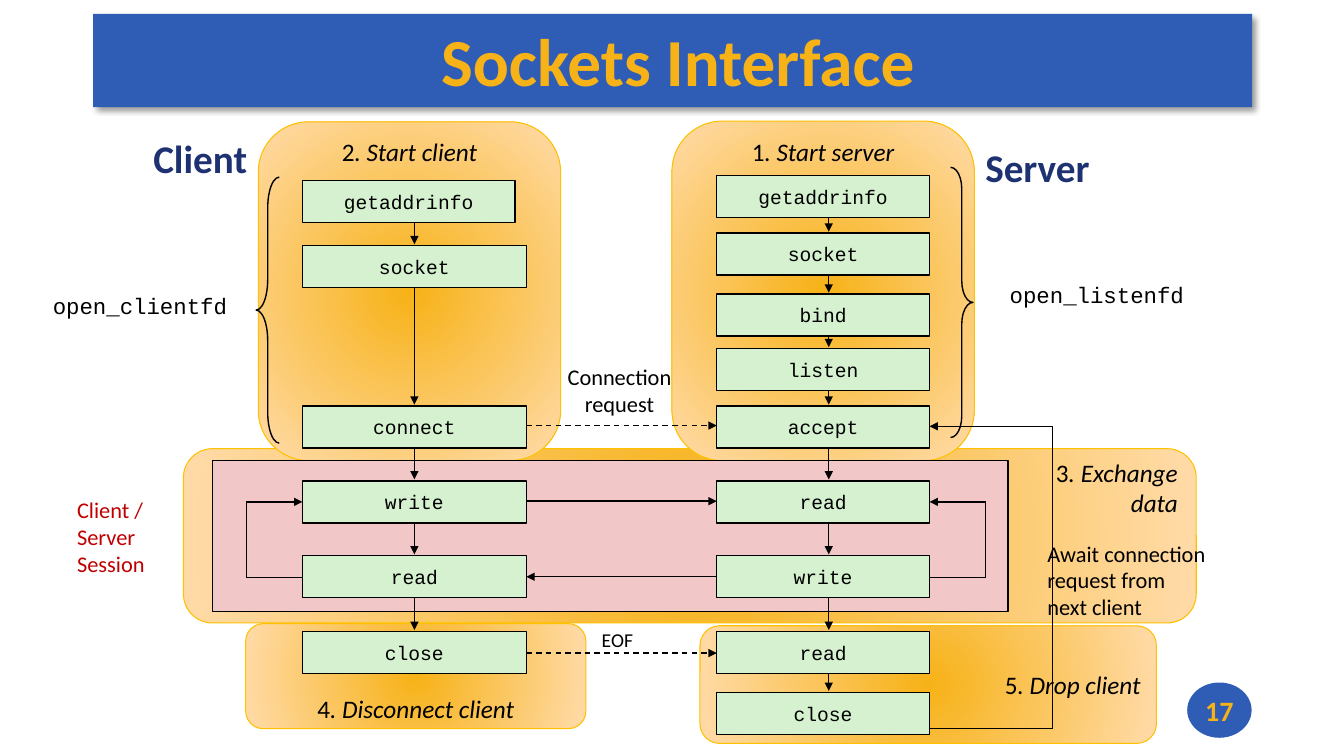
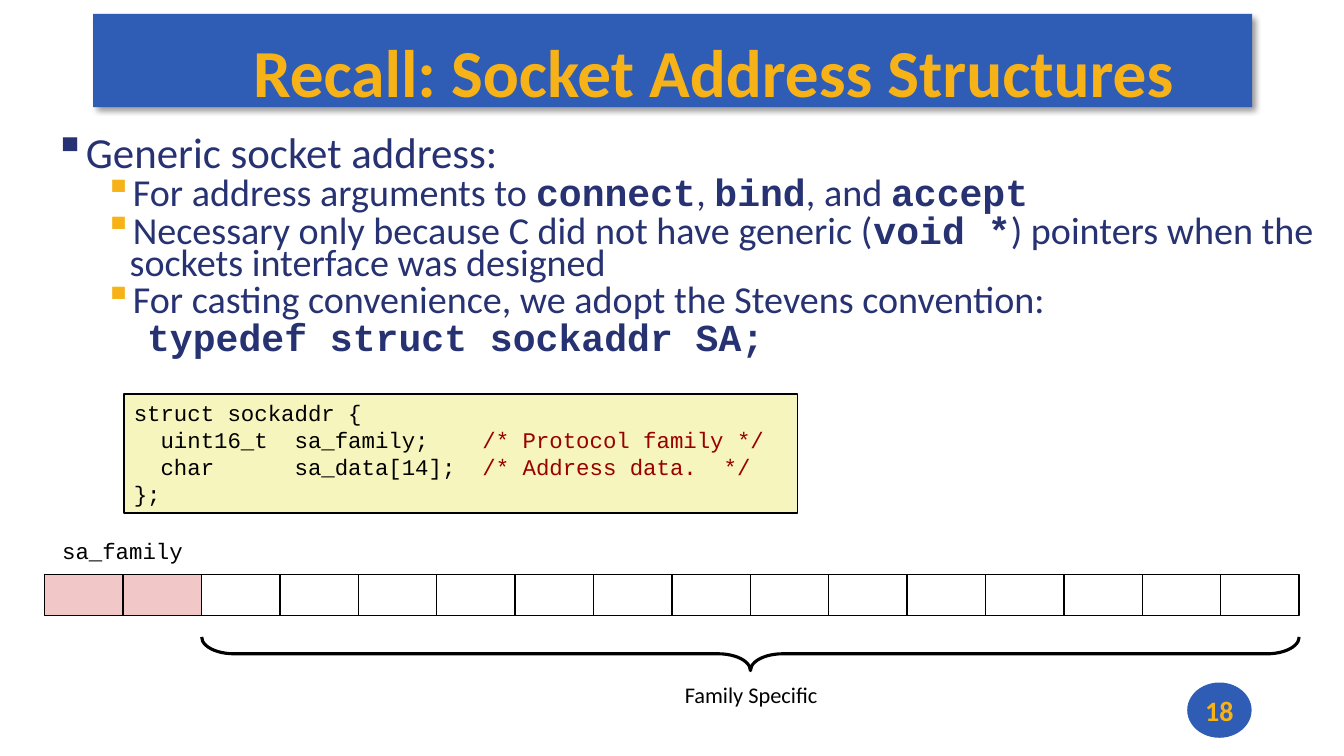
import dataclasses
import itertools
import typing

import lxml.etree
import pptx
import pptx.dml.color
import pptx.enum.dml
import pptx.enum.shapes
import pptx.enum.text
import pptx.oxml.ns
import pptx.util

Pt = pptx.util.Pt
qn = pptx.oxml.ns.qn
SHAPE = pptx.enum.shapes.MSO_SHAPE
ALIGN = pptx.enum.text.PP_ALIGN
ANCHOR = pptx.enum.text.MSO_ANCHOR
FIT = pptx.enum.text.MSO_AUTO_SIZE

COLORS = {
    "band": "2F5CB5", "gold": "F7B217", "peach": "FFDBA9", "amber": "FFC000",
    "green": "D5F1CF", "pink": "F1C7C7", "cream": "F6F5BD", "black": "000000",
    "navy": "1E3272", "body": "273272", "red": "C00000", "comment": "990000",
}
SANS, MONO = "Calibri", "Courier New"
Rect = tuple[float, float, float, float]
Point = tuple[float, float]


@dataclasses.dataclass(frozen=True)
class Span:
    """A run of text; None keeps the paragraph's setting."""
    text: str
    font: str | None = None
    bold: bool | None = None
    italic: bool | None = None
    color: str | None = None


@dataclasses.dataclass(frozen=True)
class Style:
    """The settings that all runs of a paragraph share."""
    size: float
    font: str = SANS
    color: str = "black"
    align: typing.Any = ALIGN.CENTER
    bold: bool = False


@dataclasses.dataclass(frozen=True)
class Region:
    """A numbered stage of the connection."""
    rect: Rect
    lines: list[list[Span]]
    align: typing.Any = ALIGN.CENTER
    anchor: typing.Any = ANCHOR.TOP


@dataclasses.dataclass(frozen=True)
class Label:
    """Free text beside the diagram."""
    rect: Rect
    lines: list[str]
    style: Style
    wrap: bool = False


@dataclasses.dataclass(frozen=True)
class Column:
    """One side's calls from top to bottom, as (name, top) pairs."""
    left: float
    width: float
    arrow_x: float
    calls: list[tuple[str, float]]


@dataclasses.dataclass(frozen=True)
class Bullet:
    """A body line with its indent; no bullet colour means no bullet."""
    spans: list[Span]
    size: float
    left: float
    before: float
    bullet: str | None = None


def rgb(name: str) -> pptx.dml.color.RGBColor:
    """Look a colour up by name."""
    return pptx.dml.color.RGBColor.from_string(COLORS[name])


def set_font(font, style: Style) -> None:
    """Apply a style to a font."""
    font.name, font.size, font.bold = style.font, Pt(style.size), style.bold
    font.color.rgb = rgb(style.color)


def add_spans(paragraph, spans: list[Span]) -> None:
    """Add runs, setting only what differs from the paragraph."""
    for span in spans:
        run = paragraph.add_run()
        run.text = span.text
        if span.font:
            run.font.name = span.font
        if span.bold:
            run.font.bold = True
        if span.italic:
            run.font.italic = True
        if span.color:
            run.font.color.rgb = rgb(span.color)


def next_paragraph(frame, index: int):
    """Return the first paragraph, or a new one after it."""
    return frame.add_paragraph() if index else frame.paragraphs[0]


def write(shape, lines: list[list[Span]], style: Style, anchor=ANCHOR.MIDDLE,
          wrap: bool = False, margins: Rect = (7.2, 3.6, 7.2, 3.6)) -> None:
    """Fill a shape with paragraphs of one style."""
    frame = shape.text_frame
    frame.word_wrap, frame.vertical_anchor = wrap, anchor
    frame.margin_left, frame.margin_top, frame.margin_right, frame.margin_bottom = map(Pt, margins)
    for index, spans in enumerate(lines):
        paragraph = next_paragraph(frame, index)
        paragraph.alignment = style.align
        set_font(paragraph.font, style)
        add_spans(paragraph, spans)


def add_shape(slide, kind, rect: Rect, fill: str | None = None,
              line: str | None = "black", width: float = 1):
    """Add a preset shape without a shadow."""
    shape = slide.shapes.add_shape(kind, *map(Pt, rect))
    shape.shadow.inherit = False
    if fill:
        shape.fill.solid()
        shape.fill.fore_color.rgb = rgb(fill)
    else:
        shape.fill.background()
    if line:
        shape.line.color.rgb, shape.line.width = rgb(line), Pt(width)
    else:
        shape.line.fill.background()
    return shape


def add_brace(slide, kind, rect: Rect, curl: float, width: float = 1):
    """Add a curly brace."""
    brace = add_shape(slide, kind, rect, width=width)
    brace.adjustments[0] = curl
    return brace


def add_label(slide, label: Label) -> None:
    """Add a text box that grows with its text."""
    box = slide.shapes.add_textbox(*map(Pt, label.rect))
    write(box, [[Span(line)] for line in label.lines], label.style, wrap=label.wrap)
    box.text_frame.auto_size = FIT.SHAPE_TO_FIT_TEXT


def add_region(slide, region: Region) -> None:
    """Add a rounded stage with a glow from its centre."""
    shape = add_shape(slide, SHAPE.ROUNDED_RECTANGLE, region.rect, line="amber", width=0.75)
    shape.fill.gradient()
    for stop, color in zip(shape.fill.gradient_stops, ("gold", "peach")):
        stop.color.rgb = rgb(color)
    gradient = shape.element.spPr.find(qn("a:gradFill"))
    gradient.remove(gradient.find(qn("a:lin")))
    radial = lxml.etree.SubElement(gradient, qn("a:path"), {"path": "circle"})
    lxml.etree.SubElement(radial, qn("a:fillToRect"), dict.fromkeys("ltrb", "50000"))
    write(shape, region.lines, Style(18, align=region.align), region.anchor, True,
          (7.2, 0, 7.2, 0))


def add_route(slide, points: list[Point], dashed: bool = False) -> None:
    """Join points with straight lines, with an arrowhead at the end."""
    for start, end in itertools.pairwise(points):
        connector = slide.shapes.add_connector(
            pptx.enum.shapes.MSO_CONNECTOR.STRAIGHT, *map(Pt, start + end))
        connector.line.color.rgb, connector.line.width = rgb("black"), Pt(1)
        if dashed:
            connector.line.dash_style = pptx.enum.dml.MSO_LINE.DASH
        properties = connector.element.spPr
        if end == points[-1]:
            lxml.etree.SubElement(properties.find(qn("a:ln")), qn("a:tailEnd"), type="triangle")
        lxml.etree.SubElement(properties, qn("a:effectLst"))


def add_slide(presentation, title: str, title_rect: Rect, number: int):
    """Add a slide with the title band and the page number."""
    slide = presentation.slides.add_slide(presentation.slide_layouts[5])
    band = add_shape(slide, SHAPE.RECTANGLE, (66.5, 10, 828, 66.5), "band", None)
    shadow = lxml.etree.SubElement(
        band.element.spPr.find(qn("a:effectLst")), qn("a:outerShdw"),
        blurRad=str(Pt(4)), dist=str(Pt(3)), dir="2700000", algn="tl", rotWithShape="0")
    tone = lxml.etree.SubElement(shadow, qn("a:srgbClr"), val=COLORS["black"])
    lxml.etree.SubElement(tone, qn("a:alpha"), val="40000")
    heading = slide.shapes.title
    heading.left, heading.top, heading.width, heading.height = map(Pt, title_rect)
    write(heading, [[Span(title)]], Style(48, color="gold", bold=True), wrap=True,
          margins=(5.76, 2.16, 0, 2.16))
    heading.text_frame.auto_size = FIT.NONE
    band.element.addnext(heading.element)
    badge = add_shape(slide, SHAPE.OVAL, (848, 487.5, 46, 39.5), "band", None)
    write(badge, [[Span(str(number))]], Style(20, color="gold", bold=True), margins=(0, 0, 0, 0))
    return slide


def stage(number: int, text: str) -> list[Span]:
    """Write a stage name after its number."""
    return [Span(str(number)), Span(f". {text}", italic=True)]


BOX_HEIGHT = 30
CLIENT = Column(216, 160, 296, [
    ("getaddrinfo", 129), ("socket", 175.5), ("connect", 290), ("write", 343.5),
    ("read", 397), ("close", 451)])
SERVER = Column(512, 152, 592, [
    ("getaddrinfo", 125.5), ("socket", 166.5), ("bind", 210), ("listen", 249),
    ("accept", 290), ("read", 343.5), ("write", 397), ("read", 451), ("close", 494.5)])
REGIONS = [
    Region((500, 447, 326, 84), [stage(5, "Drop client")], ALIGN.RIGHT, ANCHOR.MIDDLE),
    Region((175.5, 445.5, 243, 75), [stage(4, "Disconnect client")], anchor=ANCHOR.BOTTOM),
    Region((131, 320.5, 723.5, 124.5),
           [stage(3, "Exchange"), [Span("data", italic=True)]], ALIGN.RIGHT),
    Region((184.5, 87, 216, 242), [stage(2, "Start client")]),
    Region((480, 86.5, 216, 242.5), [stage(1, "Start server")]),
]
SIDE = Style(28, color="navy", bold=True)
NOTE, CODE = Style(16), Style(16, MONO)
LABELS = [
    Label((102, 92, 82, 41), ["Client"], SIDE),
    Label((696, 98.5, 90, 41), ["Server"], SIDE),
    Label((48, 350.5, 88, 65), ["Client / Server", "Session"],
          Style(16, color="red", align=ALIGN.LEFT), True),
    Label((397.5, 255.5, 90, 46), ["Connection", "request"], NOTE),
    Label((422.5, 445, 37, 24.5), ["EOF"], Style(14)),
    Label((741, 381.5, 129, 65.5), ["Await connection", "request from", "next client"],
          Style(16, align=ALIGN.LEFT)),
    Label((713, 197.5, 141, 26.5), ["open_listenfd"], CODE),
    Label((29.5, 205, 141, 26.5), ["open_clientfd"], CODE),
]


def add_column(slide, column: Column) -> None:
    """Draw the arrows of a column, then its boxes over them."""
    for (_, top), (_, following) in itertools.pairwise(column.calls):
        add_route(slide, [(column.arrow_x, top + BOX_HEIGHT / 2), (column.arrow_x, following - 1)])
    for name, top in column.calls:
        width = 152 if name == "getaddrinfo" else column.width
        box = add_shape(slide, SHAPE.RECTANGLE, (column.left, top, width, BOX_HEIGHT), "green")
        write(box, [[Span(name)]], Style(14, MONO))


def build_interface(presentation) -> None:
    """Build the diagram of client and server calls."""
    slide = add_slide(presentation, "Sockets Interface", (68.5, 11.5, 826, 62.5), 17)
    for region in REGIONS:
        add_region(slide, region)
    add_shape(slide, SHAPE.RECTANGLE, (152, 329, 568, 108), "pink")
    for column in (CLIENT, SERVER):
        add_column(slide, column)
    client_edge, server_edge = CLIENT.left + CLIENT.width, SERVER.left
    for y, dashed in ((304, True), (358, False), (466.5, True)):
        add_route(slide, [(client_edge, y), (server_edge, y)], dashed)
    add_route(slide, [(server_edge, 412), (client_edge, 412)])
    server_right = SERVER.left + SERVER.width
    for edge, turn, bottom, top in ((CLIENT.left, 176, 412.5, 358.5),
                                    (server_right, 704, 412.5, 358.5),
                                    (server_right, 752, 520.5, 304.5)):
        add_route(slide, [(edge, bottom), (turn, bottom), (turn, top), (edge, top)])
    add_brace(slide, SHAPE.RIGHT_BRACE, (679, 119.5, 16, 193), 0.96)
    add_brace(slide, SHAPE.LEFT_BRACE, (183, 126.5, 16.5, 190), 1.33)
    for label in LABELS:
        add_label(slide, label)


def code(text: str) -> Span:
    """Mark a bold code word."""
    return Span(text, MONO, True)


BULLETS = [
    Bullet([Span("Generic socket address:")], 30.6, 18, 10, "body"),
    Bullet([Span("For address arguments to "), code("connect"), Span(", "), code("bind"),
            Span(", and "), code("accept")], 27.2, 54, 4, "gold"),
    Bullet([Span("Necessary only because C did not have generic ("), code("void *"),
            Span(") pointers when the sockets interface was designed")], 27.2, 54, 4, "gold"),
    Bullet([Span("For casting convenience, we adopt the Stevens convention:")],
           27.2, 54, 4, "gold"),
    Bullet([code("typedef struct sockaddr SA;")], 27.2, 66.5, 4),
]
STRUCT = [
    [Span("struct sockaddr {")],
    [Span("  uint16_t  sa_family;    "), Span("/* Protocol family */", color="comment")],
    [Span("  char      sa_data[14];  "), Span("/* Address data.  */", color="comment")],
    [Span("};")],
]


def add_bullets(slide, rect: Rect, bullets: list[Bullet]) -> None:
    """Add the bulleted body text."""
    frame = slide.shapes.add_textbox(*map(Pt, rect)).text_frame
    frame.word_wrap = True
    for index, item in enumerate(bullets):
        paragraph = next_paragraph(frame, index)
        properties = paragraph._p.get_or_add_pPr()
        properties.set("marL", str(Pt(item.left)))
        if item.bullet:
            properties.set("indent", str(Pt(-18)))
            tint = lxml.etree.SubElement(properties, qn("a:buClr"))
            lxml.etree.SubElement(tint, qn("a:srgbClr"), val=COLORS[item.bullet])
            lxml.etree.SubElement(properties, qn("a:buChar"), char="▪")
        paragraph.line_spacing, paragraph.space_before = 0.7, Pt(item.before)
        set_font(paragraph.font, Style(item.size, color="body"))
        add_spans(paragraph, item.spans)


def build_structures(presentation) -> None:
    """Build the slide on the generic socket address."""
    slide = add_slide(presentation, "Recall: Socket Address Structures", (67, 11.5, 880, 78.5), 18)
    add_bullets(slide, (31.5, 96, 915, 180), BULLETS)
    listing = add_shape(slide, SHAPE.RECTANGLE, (88.5, 281.5, 481, 85), "cream")
    write(listing, STRUCT, Style(16, MONO, align=ALIGN.LEFT), ANCHOR.TOP, True)
    for index in range(16):
        add_shape(slide, SHAPE.RECTANGLE, (32 + 56 * index, 410.5, 56, 29),
                  "pink" if index < 2 else None)
    add_label(slide, Label((36.5, 380, 102, 26.5), ["sa_family"], CODE))
    add_label(slide, Label((481.5, 483, 110, 26.5), ["Family Specific"], NOTE))
    brace = add_brace(slide, SHAPE.RIGHT_BRACE, (524, 75, 24, 784), 0.96, 2.25)
    brace.rotation = 90


presentation = pptx.Presentation()
presentation.slide_width, presentation.slide_height = Pt(960), Pt(540)
build_interface(presentation)
build_structures(presentation)
presentation.save("out.pptx")
